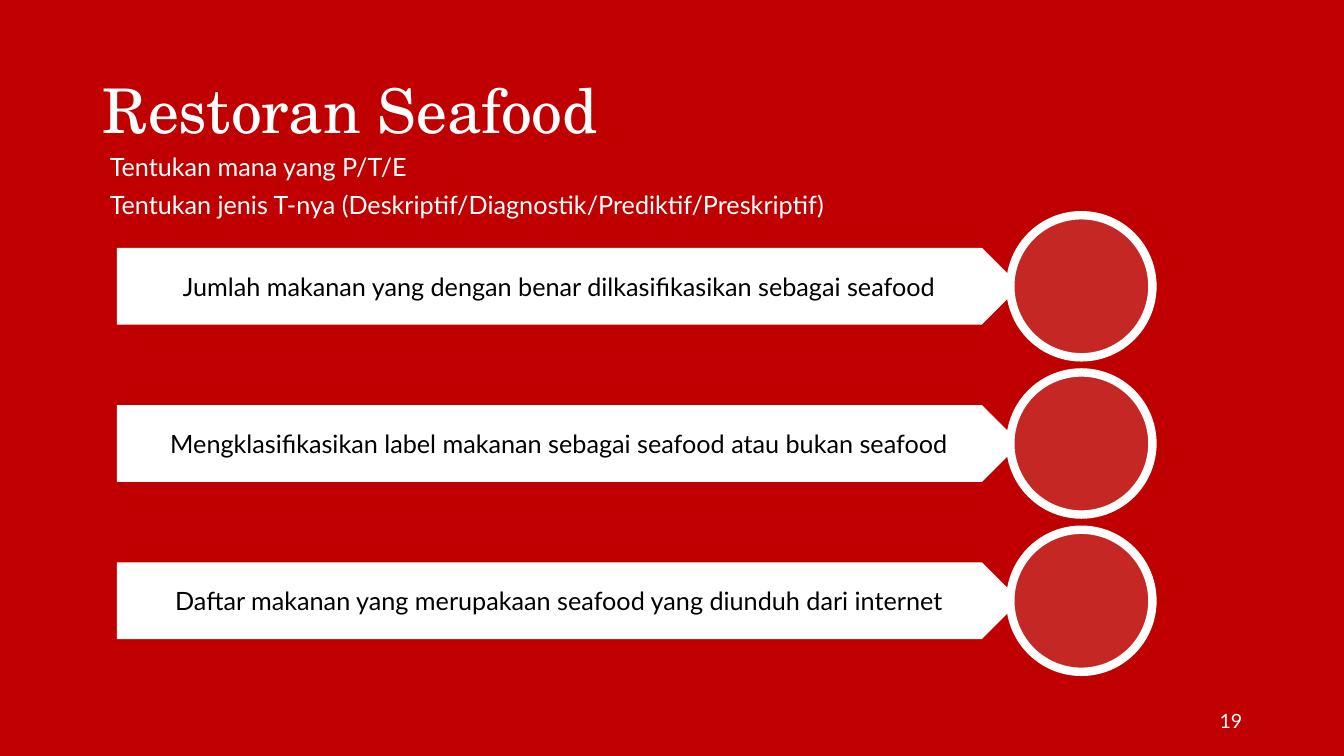
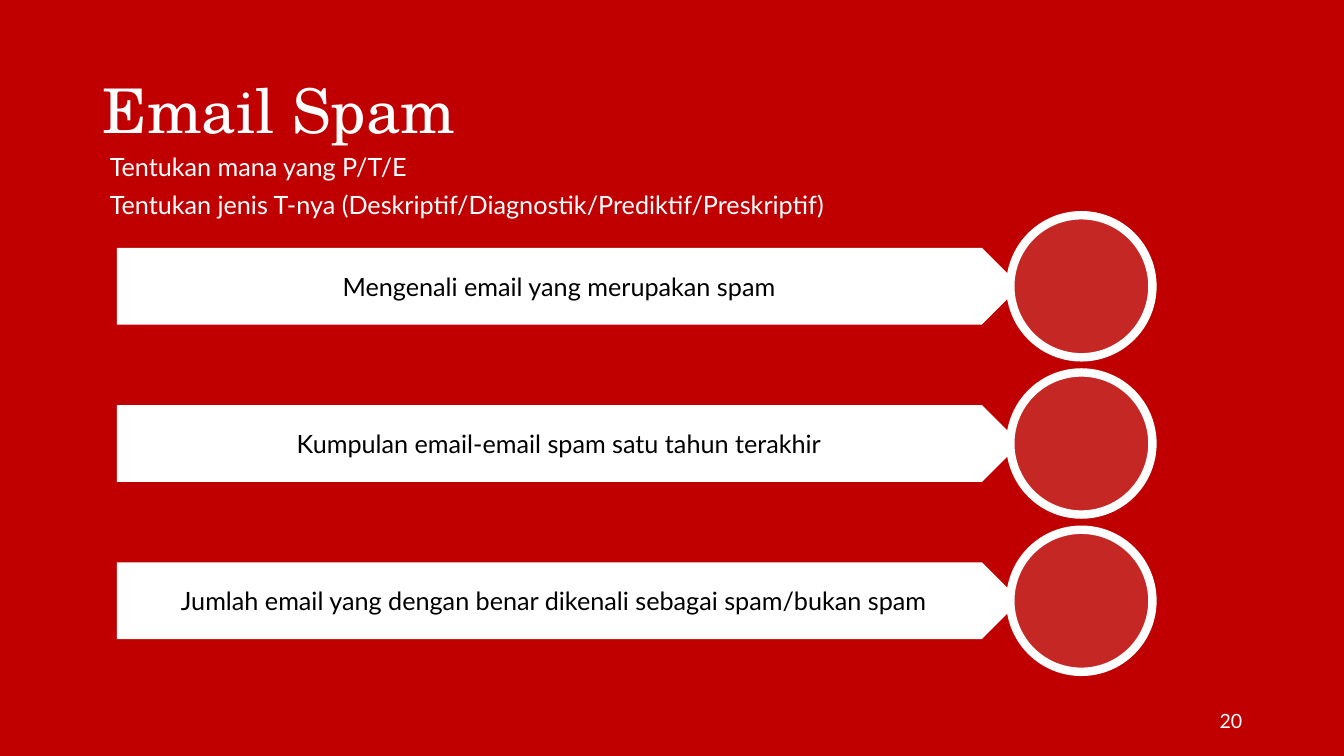
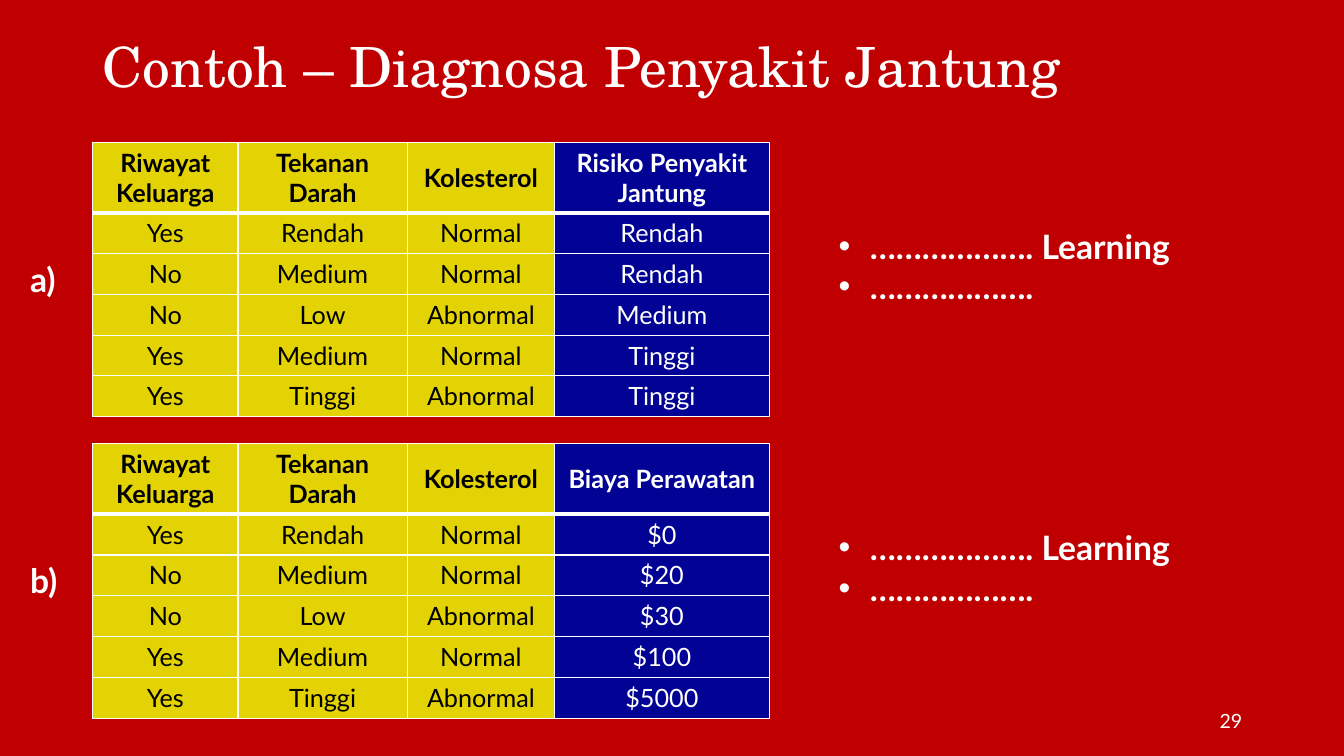
from lxml.etree import SubElement
from pptx import Presentation
from pptx.dml.color import RGBColor
from pptx.enum.shapes import MSO_SHAPE
from pptx.enum.text import MSO_ANCHOR, PP_ALIGN
from pptx.oxml.ns import qn
from pptx.util import Inches, Pt

COLORS = {
    "red": "C00000",
    "circle": "C52724",
    "white": "FFFFFF",
    "black": "000000",
    "yellow": "E4D304",
    "navy": "020294",
}
TITLE = {"name": "TeX Gyre Schola", "size": 44, "color": "white"}
BODY = {"name": "Lato", "size": 18, "color": "white"}
LABEL = {**BODY, "size": 24, "bold": True}
NUMBER = {**BODY, "size": 14}

QUESTIONS = [
    ("Tentukan mana yang P/T/E", 1.45),
    ("Tentukan jenis T-nya (Deskriptif/Diagnostik/Prediktif/Preskriptif)", 1.83),
]
EXERCISES = [
    ("Restoran Seafood", 19, [
        "Jumlah makanan yang dengan benar dilkasifikasikan sebagai seafood",
        "Mengklasifikasikan label makanan sebagai seafood atau bukan seafood",
        "Daftar makanan yang merupakaan seafood yang diunduh dari internet",
    ]),
    ("Email Spam", 20, [
        "Mengenali email yang merupakan spam",
        "Kumpulan email-email spam satu tahun terakhir",
        "Jumlah email yang dengan benar dikenali sebagai spam/bukan spam\t",
    ]),
]
PATIENT_HEADER = ["Riwayat Keluarga", "Tekanan Darah", "Kolesterol"]
PATIENTS = [
    ("Yes", "Rendah", "Normal"),
    ("No", "Medium", "Normal"),
    ("No", "Low", "Abnormal"),
    ("Yes", "Medium", "Normal"),
    ("Yes", "Tinggi", "Abnormal"),
]
OUTCOMES = [
    ("a)", ["Risiko Penyakit Jantung", "Rendah", "Rendah", "Medium", "Tinggi", "Tinggi"]),
    ("b)", ["Biaya Perawatan", "$0", "$20", "$30", "$100", "$5000"]),
]
ANSWERS = ["………………. Learning", "………………."]
COLUMN_WIDTHS = [1.44, 1.68, 1.46, 2.13]
HEADER_HEIGHT, ROW_HEIGHT = 0.7, 0.41
TABLE_TOP, TABLE_PITCH = 1.41, 2.99
BAR_TOP, BAR_HEIGHT, BAR_PITCH = 2.46, 0.76, 1.56
CIRCLE_SIZE = 1.41


def rgb(name):
    return RGBColor.from_string(COLORS[name])


def write(frame, lines, style, align=PP_ALIGN.LEFT, spacing=None, bullet=None):
    for index, line in enumerate(lines):
        para = frame.paragraphs[0] if index == 0 else frame.add_paragraph()
        para.alignment = align
        if spacing:
            para.line_spacing = spacing
        if bullet:
            properties = para._p.get_or_add_pPr()
            properties.set("marL", str(Inches(0.31)))
            properties.set("indent", str(Inches(-0.31)))
            SubElement(properties, qn("a:buFont")).set("typeface", "Arial")
            SubElement(properties, qn("a:buChar")).set("char", bullet)
        span = para.add_run()
        span.text = line
        for key, value in style.items():
            if key == "color":
                span.font.color.rgb = rgb(value)
            else:
                setattr(span.font, key, Pt(value) if key == "size" else value)


def add_text(page, place, lines, style, anchor=MSO_ANCHOR.TOP, wrap=True, **options):
    box = page.shapes.add_textbox(*map(Inches, place))
    box.text_frame.word_wrap = wrap
    box.text_frame.vertical_anchor = anchor
    write(box.text_frame, lines, style, **options)


def add_shape(page, kind, place, fill, line=None):
    shape = page.shapes.add_shape(kind, *map(Inches, place))
    shape.shadow.inherit = False
    shape.fill.solid()
    shape.fill.fore_color.rgb = rgb(fill)
    if line:
        shape.line.color.rgb = rgb(line)
        shape.line.width = Pt(6)
    else:
        shape.line.fill.background()
    return shape


def add_page(deck, title, number, title_top=0.4, title_height=1.45, title_size=44):
    page = deck.slides.add_slide(deck.slide_layouts[6])
    add_text(page, (0.92, title_top, 11.5, title_height), [title],
             {**TITLE, "size": title_size}, MSO_ANCHOR.MIDDLE, spacing=0.9)
    add_text(page, (9.42, 6.95, 3, 0.4), [str(number)], NUMBER,
             MSO_ANCHOR.MIDDLE, align=PP_ALIGN.RIGHT)
    return page


def add_exercise(deck, title, number, statements):
    page = add_page(deck, title, number)
    for question, top in QUESTIONS:
        add_text(page, (0.99, top, 7.48, 0.4), [question], BODY)
    for index, statement in enumerate(statements):
        top = BAR_TOP + index * BAR_PITCH
        bar = add_shape(page, MSO_SHAPE.PENTAGON, (1.16, top, 8.96, BAR_HEIGHT), "white")
        bar.text_frame.vertical_anchor = MSO_ANCHOR.MIDDLE
        write(bar.text_frame, [statement], {**BODY, "color": "black"}, PP_ALIGN.CENTER)
        circle_top = top + (BAR_HEIGHT - CIRCLE_SIZE) / 2
        add_shape(page, MSO_SHAPE.OVAL, (10.02, circle_top, CIRCLE_SIZE, CIRCLE_SIZE),
                  "circle", "white")


def set_borders(cell, widths):
    properties = cell._tc.get_or_add_tcPr()
    for side, width in widths.items():
        line = SubElement(properties, qn(f"a:ln{side}"), w=str(Pt(width)))
        fill = SubElement(line, qn("a:solidFill"))
        SubElement(fill, qn("a:srgbClr"), val=COLORS["white"])


def add_patients(page, top, outcomes):
    rows = [[*known, outcome]
            for known, outcome in zip([PATIENT_HEADER, *PATIENTS], outcomes)]
    heights = [HEADER_HEIGHT] + [ROW_HEIGHT - 0.005] * len(PATIENTS)
    place = (0.92, top, sum(COLUMN_WIDTHS), sum(heights))
    table = page.shapes.add_table(len(rows), len(COLUMN_WIDTHS), *map(Inches, place)).table
    table.horz_banding = False
    for column, width in zip(table.columns, COLUMN_WIDTHS):
        column.width = Inches(width)
    for row_index, (row, height) in enumerate(zip(rows, heights)):
        table.rows[row_index].height = Inches(height)
        header = row_index == 0
        for column_index, value in enumerate(row):
            cell = table.cell(row_index, column_index)
            outcome = column_index == len(row) - 1
            set_borders(cell, {"L": 1, "R": 1, "T": 3 if row_index == 1 else 1,
                               "B": 3 if header else 1})
            cell.fill.solid()
            cell.fill.fore_color.rgb = rgb("navy" if outcome else "yellow")
            cell.vertical_anchor = MSO_ANCHOR.MIDDLE if header else MSO_ANCHOR.TOP
            style = {**BODY, "color": "white" if outcome else "black", "bold": header}
            write(cell.text_frame, [value], style, PP_ALIGN.CENTER)


def add_diagnosis(deck):
    page = add_page(deck, "Contoh – Diagnosa Penyakit Jantung", 29, 0.34, 0.69, 39.6)
    for index, (letter, outcomes) in enumerate(OUTCOMES):
        top = TABLE_TOP + index * TABLE_PITCH
        add_patients(page, top, outcomes)
        add_text(page, (0.2, top + 1.11, 0.54, 0.5), [letter], LABEL, wrap=False)
        add_text(page, (8.22, top + 0.78, 4.11, 0.91), ANSWERS, LABEL, bullet="•")


def main():
    deck = Presentation()
    deck.slide_width, deck.slide_height = Inches(13.33), Inches(7.5)
    background = deck.slide_master.background.fill
    background.solid()
    background.fore_color.rgb = rgb("red")
    for exercise in EXERCISES:
        add_exercise(deck, *exercise)
    add_diagnosis(deck)
    deck.save("out.pptx")


if __name__ == "__main__":
    main()
